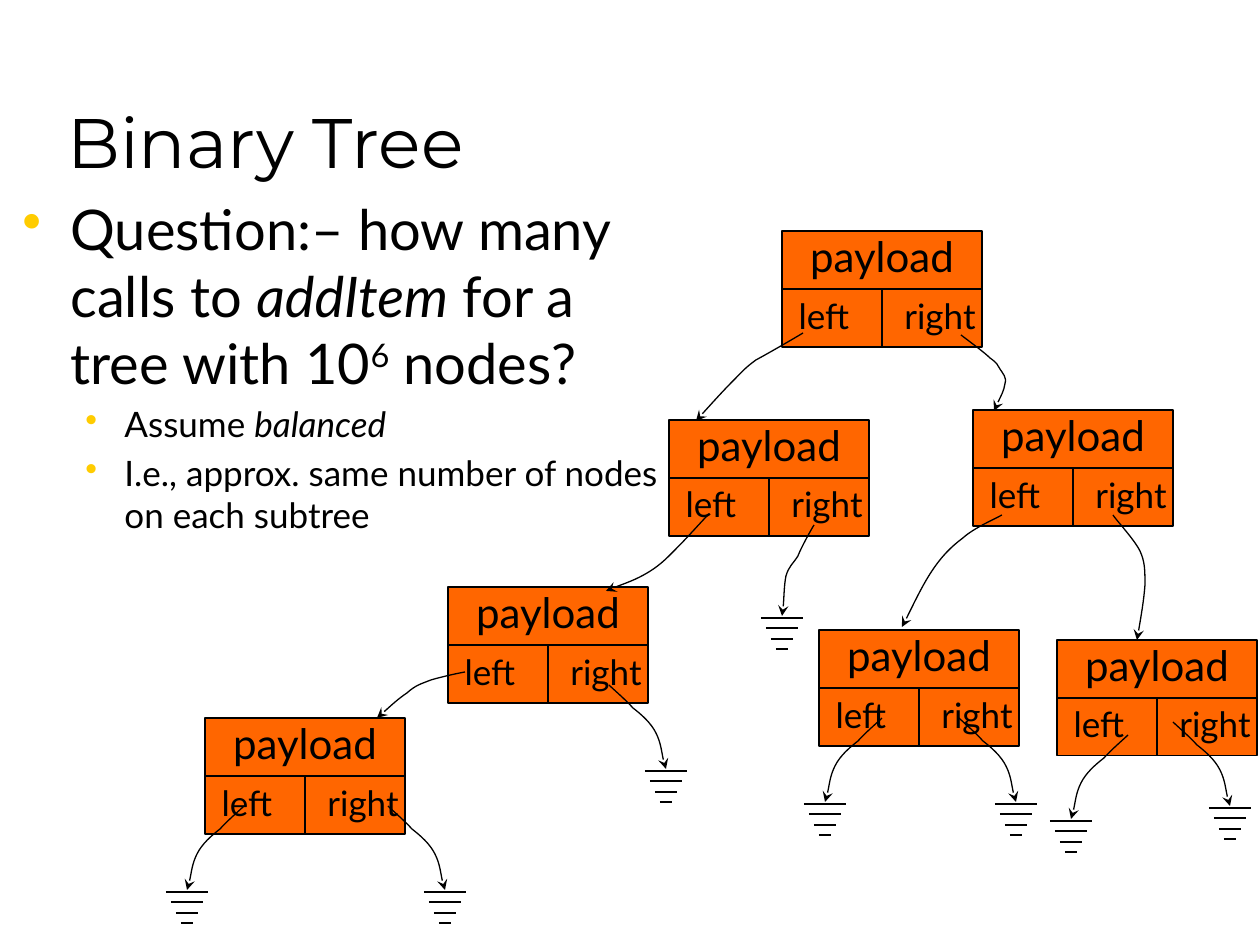
from lxml.etree import SubElement
from pptx import Presentation
from pptx.dml.color import RGBColor
from pptx.enum.shapes import MSO_CONNECTOR as CONN, MSO_SHAPE as SHAPE
from pptx.enum.text import MSO_ANCHOR as ANCHOR, PP_ALIGN as ALIGN
from pptx.oxml.ns import qn
from pptx.util import Pt

PX = 914400 // 126
BLACK = RGBColor(0x00, 0x00, 0x00)
ORANGE = RGBColor(0xFF, 0x66, 0x00)
YELLOW = 'FFCC00'

TITLE = 'Binary Tree'
BULLETS = [
    (0, 32, 48, 48, [('Question:– how many calls to ', ''), ('addItem', 'italic'),
                     (' for a tree with 10', ''), ('6', 'super'), (' nodes?', '')]),
    (1, 20, 102, 39, [('Assume ', ''), ('balanced', 'italic')]),
    (1, 20, 102, 39, [('I.e., approx. same number of nodes on each subtree', '')]),
]

NODE_W, NODE_H = 200, 116
NODES = [(782, 231), (669, 420), (973, 410), (1057, 640), (819, 630), (448, 587), (205, 718)]
LABELS = [('left', 20, 0, 63, 84, 42), ('right', 20, 116, 63, 84, 42),
          ('payload', 24, 0, 0, NODE_W, 50)]

LINKS = [
    [(1113, 515), (1116, 520), (1134, 539), (1140, 551), (1145, 562), (1145, 570),
     (1145, 585), (1144, 600), (1139, 629), (1137, 640)],
    [(1002, 515), (995, 519), (974, 528), (963, 538), (951, 547), (942, 556),
     (932, 571), (922, 586), (908, 616), (902, 627)],
    [(961, 335), (966, 339), (984, 352), (990, 358), (997, 363), (998, 365), (1000, 369),
     (1003, 374), (1007, 377), (1005, 384), (1004, 391), (997, 404), (994, 411)],
    [(709, 514), (704, 519), (688, 537), (678, 547), (668, 557), (662, 564),
     (649, 572), (636, 580), (615, 587), (606, 591)],
    [(465, 672), (459, 673), (441, 677), (431, 680), (421, 684), (416, 685),
     (407, 693), (398, 699), (383, 713), (377, 718)],
    [(803, 333), (795, 338), (769, 353), (756, 360), (745, 368), (743, 371),
     (733, 381), (723, 391), (704, 412), (696, 421)],
]
NULL_LINK = [(814, 525), (811, 530), (801, 548), (798, 556), (793, 564), (789, 566),
             (786, 576), (784, 586), (784, 607), (782, 616)]
NULL_CURVE = [(0, 0), (4, 4), (17, 15), (24, 23), (33, 30), (42, 38),
              (47, 48), (52, 58), (54, 77), (57, 84)]
NULL_STARTS = [(1173, 722, 1), (959, 718, 1), (882, 718, -1), (1128, 735, -1),
               (244, 806, -1), (388, 806, 1), (609, 685, 1)]
GROUND = [(21, 2), (16, 12), (11, 23), (6, 33)]


def style_line(s):
    s.line.color.rgb = BLACK
    s.line.width = Pt(0.75)


def add_line(parent, x1, y1, x2, y2):
    s = parent.add_connector(CONN.STRAIGHT, x1 * PX, y1 * PX, x2 * PX, y2 * PX)
    style_line(s)
    SubElement(s._element.spPr, qn('a:effectLst'))


def add_text(parent, x, y, w, h, anchor, inset=None):
    tf = parent.add_textbox(x * PX, y * PX, w * PX, h * PX).text_frame
    tf.word_wrap = True
    tf.vertical_anchor = anchor
    if inset is not None:
        tf.margin_left = tf.margin_right = tf.margin_top = tf.margin_bottom = inset
    return tf


def set_font(p, name, size):
    p.font.name = name
    p.font.size = Pt(size)
    p.font.color.rgb = BLACK


def add_label(parent, text, size, x, y, w, h):
    p = add_text(parent, x, y, w, h, ANCHOR.MIDDLE, 0).paragraphs[0]
    p.text = text
    p.alignment = ALIGN.CENTER
    set_font(p, 'Lato', size)


def add_node(x, y):
    group = shapes.add_group_shape().shapes
    s = group.add_shape(SHAPE.RECTANGLE, x * PX, y * PX, NODE_W * PX, NODE_H * PX)
    s.shadow.inherit = False
    s.fill.solid()
    s.fill.fore_color.rgb = ORANGE
    style_line(s)
    mid_x, mid_y = x + NODE_W // 2, y + NODE_H // 2
    add_line(group, x, mid_y, x + NODE_W, mid_y)
    add_line(group, mid_x, mid_y, mid_x, y + NODE_H)
    for text, size, dx, dy, w, h in LABELS:
        add_label(group, text, size, x + dx, y + dy, w, h)


def add_curve(parent, points):
    builder = parent.build_freeform(*points[0], scale=PX)
    builder.add_line_segments(points[1:], close=False)
    s = builder.convert_to_shape()
    s.shadow.inherit = False
    s.fill.background()
    style_line(s)
    SubElement(s.line._get_or_add_ln(), qn('a:tailEnd'), type='stealth')
    outline = next(s._element.iter(qn('a:moveTo'))).getparent()
    segments = outline.findall(qn('a:lnTo'))
    for i in range(0, len(segments), 3):
        bezier = SubElement(outline, qn('a:cubicBezTo'))
        for segment in segments[i:i + 3]:
            bezier.append(segment[0])
            outline.remove(segment)


def add_null(points):
    group = shapes.add_group_shape().shapes
    x, y = points[-1]
    for half, dy in GROUND:
        add_line(group, x - half, y + dy, x + half, y + dy)
    add_curve(group, points)


prs = Presentation()
prs.slide_width, prs.slide_height = 1260 * PX, 945 * PX
shapes = prs.slides.add_slide(prs.slide_layouts[6]).shapes

p = add_text(shapes, 55, 32, 1071, 157, ANCHOR.BOTTOM).paragraphs[0]
p.text = TITLE
set_font(p, 'Montserrat', 40)

tf = add_text(shapes, 10, 188, 662, 685, ANCHOR.TOP)
for i, (level, size, margin, hang, runs) in enumerate(BULLETS):
    p = tf.add_paragraph() if i else tf.paragraphs[0]
    p.level = level
    p.space_before = Pt(size * 0.2)
    set_font(p, 'Lato', size)
    pPr = p._p.get_or_add_pPr()
    pPr.set('marL', str(margin * PX))
    pPr.set('indent', str(-hang * PX))
    color = pPr.makeelement(qn('a:buClr'))
    SubElement(color, qn('a:srgbClr'), val=YELLOW)
    bullet = pPr.makeelement(qn('a:buChar'), char='•')
    defaults = pPr.find(qn('a:defRPr'))
    defaults.addprevious(color)
    defaults.addprevious(bullet)
    for text, kind in runs:
        r = p.add_run()
        r.text = text
        if kind == 'italic':
            r.font.italic = True
        elif kind == 'super':
            r.font._element.set('baseline', '30000')

for x, y in NODES:
    add_node(x, y)
for x, y, side in NULL_STARTS:
    add_null([(x + side * dx, y + dy) for dx, dy in NULL_CURVE])
add_null(NULL_LINK)
for points in LINKS:
    add_curve(shapes, points)

prs.save("out.pptx")
